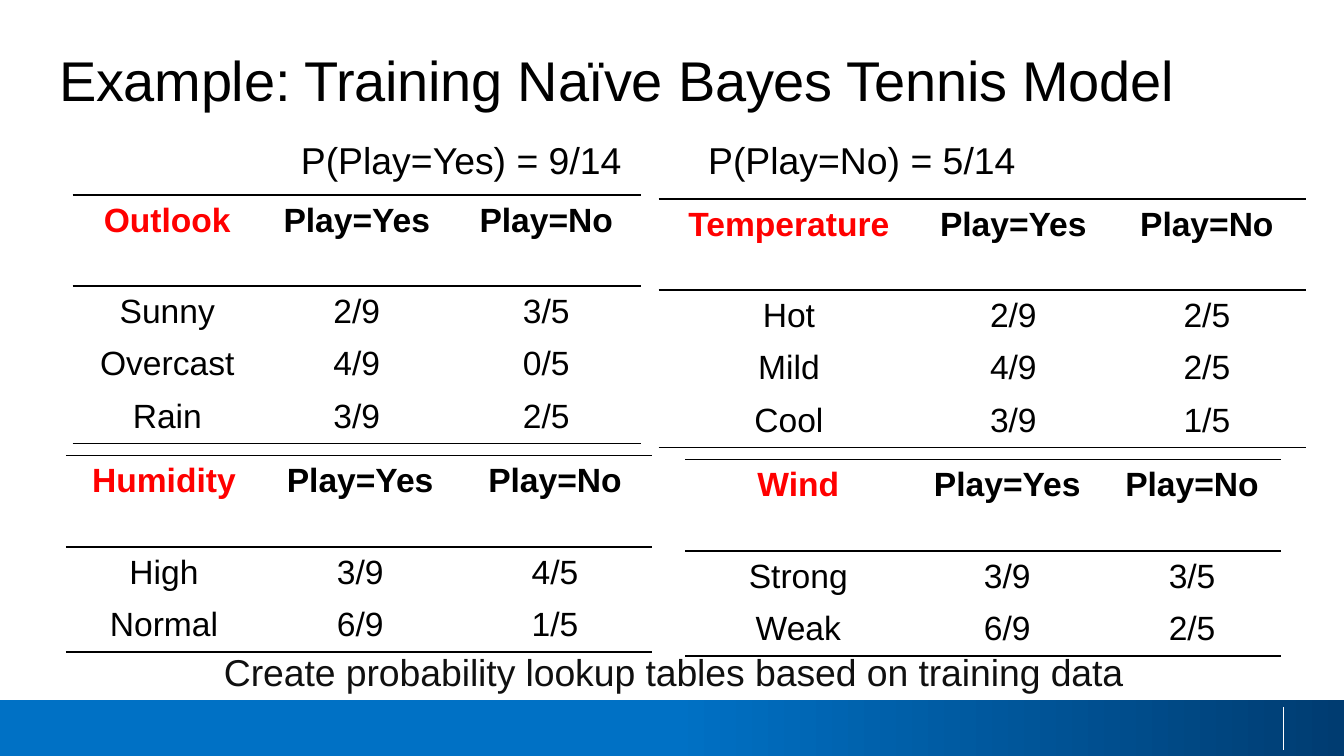
from lxml.etree import SubElement
from pptx import Presentation
from pptx.dml.color import RGBColor
from pptx.enum.shapes import MSO_CONNECTOR, MSO_SHAPE
from pptx.enum.text import PP_ALIGN
from pptx.oxml import parse_xml
from pptx.oxml.ns import nsdecls, qn
from pptx.util import Inches, Pt

BLACK = RGBColor(0x00, 0x00, 0x00)
INK = RGBColor(0x10, 0x10, 0x10)
RED = RGBColor(0xFF, 0x00, 0x00)
WHITE = RGBColor(0xFF, 0xFF, 0xFF)
NAVY = RGBColor(0x00, 0x3C, 0x71)
BLUE = RGBColor(0x00, 0x71, 0xC5)
FONT = "Arial"
NO_STYLE = "{2D5ABB26-0587-4C30-8999-92F81FD0307C}"
W = 10
H = W * 9 / 16
HEAD_H, ROW_H = 0.68, 0.39

# Content
TITLE = "Example: Training Naïve Bayes Tennis Model"
CAPTION = "Create probability lookup tables based on training data"
PRIORS = [("P(Play=Yes) = 9/14", 2.14, 2.88), ("P(Play=No) = 5/14", 5.17, 2.81)]
CLASSES = ("Play=Yes", "Play=No")

# Feature, left, top, column widths, rows
TABLES = [
    ("Outlook", 0.54, 1.45, (1.41, 1.41, 1.41),
     [("Sunny", "2/9", "3/5"), ("Overcast", "4/9", "0/5"), ("Rain", "3/9", "2/5")]),
    ("Temperature", 4.9, 1.48, (1.94, 1.4, 1.48),
     [("Hot", "2/9", "2/5"), ("Mild", "4/9", "2/5"), ("Cool", "3/9", "1/5")]),
    ("Humidity", 0.49, 3.39, (1.46, 1.46, 1.44),
     [("High", "3/9", "4/5"), ("Normal", "6/9", "1/5")]),
    ("Wind", 5.1, 3.42, (1.68, 1.43, 1.32),
     [("Strong", "3/9", "3/5"), ("Weak", "6/9", "2/5")]),
]


def style(p, size, color, bold=False, align=PP_ALIGN.LEFT):
    p.alignment = align
    p.font.name, p.font.size, p.font.bold = FONT, Pt(size), bold
    p.font.color.rgb = color


def add_text(s, text, x, y, w, h, size, color, inset=(0, 0), wrap=True,
             align=PP_ALIGN.LEFT, spacing=0):
    tf = s.shapes.add_textbox(Inches(x), Inches(y), Inches(w), Inches(h)).text_frame
    tf.word_wrap = wrap
    tf.margin_left = tf.margin_right = Inches(inset[0])
    tf.margin_top = tf.margin_bottom = Inches(inset[1])
    p = tf.paragraphs[0]
    r = p.add_run()
    r.text = text
    style(p, size, color, align=align)
    if spacing:
        r.font._element.set("spc", str(round(spacing * 100)))


def set_borders(cell, top, bottom):
    """Rule the cell above or below, and leave its sides open."""
    tcPr = cell._tc.get_or_add_tcPr()
    sides = (("lnL", False), ("lnR", False), ("lnT", top), ("lnB", bottom))
    for i, (tag, ruled) in enumerate(sides):
        ln = parse_xml(f'<a:{tag} {nsdecls("a")} w="{Pt(0.96)}"/>')
        if ruled:
            fill = SubElement(ln, qn("a:solidFill"))
            SubElement(fill, qn("a:srgbClr"), val=str(BLACK))
        else:
            SubElement(ln, qn("a:noFill"))
        tcPr.insert(i, ln)


def add_lookup(s, feature, x, y, widths, body):
    rows = [(feature, *CLASSES), *body]
    heights = [HEAD_H] + [ROW_H] * len(body)
    frame = s.shapes.add_table(len(rows), len(widths), Inches(x), Inches(y),
                               Inches(sum(widths)), Inches(sum(heights)))
    table = frame.table
    table.first_row = table.horz_banding = False
    table._tbl.tblPr.find(qn("a:tableStyleId")).text = NO_STYLE
    for col, w in zip(table.columns, widths):
        col.width = Inches(w)
    for i, (row, h) in enumerate(zip(rows, heights)):
        table.rows[i].height = Inches(h)
        for j, text in enumerate(row):
            cell = table.cell(i, j)
            cell.margin_left = cell.margin_right = Inches(0.07)
            cell.margin_top, cell.margin_bottom = Inches(0.05), Inches(0.04)
            cell.fill.background()
            p = cell.text_frame.paragraphs[0]
            p.add_run().text = text
            p.space_before = Pt(3.6)
            style(p, 18, RED if i == j == 0 else BLACK, i == 0, PP_ALIGN.CENTER)
            set_borders(cell, i <= 1, i in (0, len(body)))


prs = Presentation()
prs.slide_width, prs.slide_height = Inches(W), Inches(H)
s = prs.slides.add_slide(prs.slide_layouts[6])

# Footer band and divider
band = s.shapes.add_shape(MSO_SHAPE.RECTANGLE, 0, Inches(5.21), Inches(W), Inches(H - 5.21))
band.shadow.inherit = False
band.line.fill.background()
band.fill.gradient()
band.fill.gradient_angle = 180
for stop, color, pos in zip(band.fill.gradient_stops, (NAVY, BLUE), (0, 0.5)):
    stop.color.rgb, stop.position = color, pos
divider = s.shapes.add_connector(MSO_CONNECTOR.STRAIGHT, Inches(9.55), Inches(5.26),
                                 Inches(9.55), Inches(5.58))
divider.line.color.rgb, divider.line.width = WHITE, Pt(0.75)
SubElement(divider._element.spPr, qn("a:effectLst"))

# Title and caption
add_text(s, TITLE, 0.44, 0.34, 9.23, 0.5, 30, BLACK, spacing=-0.15)
add_text(s, CAPTION, 0.95, 4.83, 8.12, 0.33, 20, INK, align=PP_ALIGN.CENTER, spacing=-0.05)

# Lookup tables
for lookup in TABLES:
    add_lookup(s, *lookup)

# Class priors
for text, x, w in PRIORS:
    add_text(s, text, x, 0.97, w, 0.43, 20, BLACK, inset=(0.1, 0.05), wrap=False)

prs.save("out.pptx")
